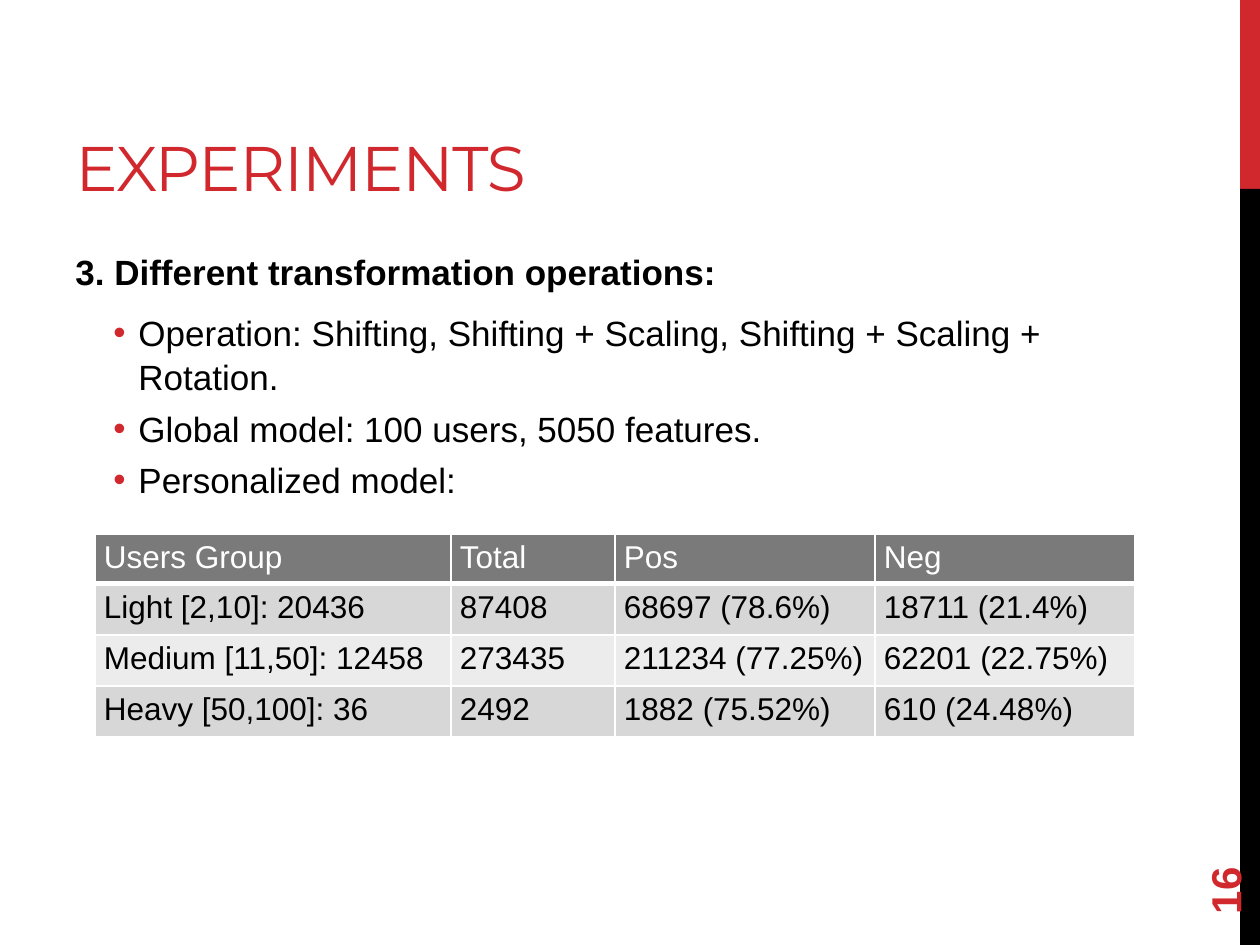
from lxml import etree
from pptx import Presentation
from pptx import util as u
from pptx.dml.color import RGBColor
from pptx.enum import shapes, text
from pptx.oxml import ns

COLORS = {"red": "D1282E", "black": "000000", "white": "FFFFFF",
          "header": "7A7A7A", "odd": "D7D7D7", "even": "ECECEC"}
OPERATIONS = [
    "Operation: Shifting, Shifting + Scaling, Shifting + Scaling + Rotation.",
    "Global model: 100 users, 5050 features.",
    "Personalized model:",
]
USER_GROUPS = [
    ["Users Group", "Total", "Pos", "Neg"],
    ["Light [2,10]: 20436", "87408", "68697 (78.6%)", "18711 (21.4%)"],
    ["Medium [11,50]: 12458", "273435", "211234 (77.25%)", "62201 (22.75%)"],
    ["Heavy [50,100]: 36", "2492", "1882 (75.52%)", "610 (24.48%)"],
]
COLUMN_WIDTHS = [356, 164, 260, 260]
ROW_HEIGHTS = [47, 51, 51, 51]


def px(length):
    """Turn pixels into EMU."""
    return u.Emu(round(length * 914400 / 126))


def rgb(name):
    """Look up a named colour."""
    return RGBColor.from_string(COLORS[name])


def write(paragraph, wording, size=20, color="black", font="Arial", bold=False,
          before=0, after=0, line=1.0, spacing=0):
    """Put formatted text into a paragraph."""
    paragraph.alignment = text.PP_ALIGN.LEFT
    paragraph.space_before, paragraph.space_after = u.Pt(before), u.Pt(after)
    paragraph.line_spacing = line
    run = paragraph.add_run()
    run.text = wording
    run.font.name, run.font.size, run.font.bold = font, u.Pt(size), bold
    run.font.color.rgb = rgb(color)
    if spacing:
        run.font._element.set("spc", str(spacing))


def add_bullet(paragraph):
    """Give a paragraph a hanging red bullet."""
    properties = paragraph._p.get_or_add_pPr()
    properties.set("marL", str(px(63)))
    properties.set("indent", str(-px(25)))
    color = etree.SubElement(properties, ns.qn("a:buClr"))
    etree.SubElement(color, ns.qn("a:srgbClr"), val=COLORS["red"])
    etree.SubElement(properties, ns.qn("a:buFont"), typeface="Arial")
    etree.SubElement(properties, ns.qn("a:buChar"), char="•")


def add_band(slide, top, height, color):
    """Draw one part of the right-hand stripe."""
    band = slide.shapes.add_shape(shapes.MSO_SHAPE.RECTANGLE,
                                  px(1240), px(top), px(20), px(height))
    band.shadow.inherit = False
    band.fill.solid()
    band.fill.fore_color.rgb = rgb(color)
    band.line.fill.background()


def add_title(slide, wording):
    """Place and format the title placeholder."""
    title = slide.shapes.title
    title.left, title.top, title.width, title.height = map(px, (63, 21, 979, 189))
    frame = title.text_frame
    frame.auto_size = text.MSO_AUTO_SIZE.NONE
    frame.vertical_anchor = text.MSO_ANCHOR.BOTTOM
    write(frame.paragraphs[0], wording, size=36, color="red",
          font="Montserrat", spacing=-60)


def add_body(slide, heading, points):
    """Write the heading and its bulleted points."""
    frame = slide.shapes.add_textbox(*map(px, (63, 242, 1050, 602))).text_frame
    frame.word_wrap = True
    write(frame.paragraphs[0], heading, bold=True, after=6, line=1.05)
    for point in points:
        paragraph = frame.add_paragraph()
        add_bullet(paragraph)
        write(paragraph, point, before=4, line=1.05)


def set_borders(cell, bottom):
    """Draw white cell borders, with a chosen bottom width."""
    properties = cell._tc.get_or_add_tcPr()
    widths = {"lnL": 1, "lnR": 1, "lnT": 1, "lnB": bottom}
    for position, (side, width) in enumerate(widths.items()):
        border = etree.Element(ns.qn(f"a:{side}"), w=str(u.Pt(width)))
        fill = etree.SubElement(border, ns.qn("a:solidFill"))
        etree.SubElement(fill, ns.qn("a:srgbClr"), val=COLORS["white"])
        properties.insert(position, border)


def add_group_table(slide, rows):
    """Add the table of user groups."""
    table = slide.shapes.add_table(
        len(rows), len(COLUMN_WIDTHS), px(95), px(534),
        px(sum(COLUMN_WIDTHS)), px(sum(ROW_HEIGHTS))).table
    for column, width in zip(table.columns, COLUMN_WIDTHS):
        column.width = px(width)
    for row, height in zip(table.rows, ROW_HEIGHTS):
        row.height = px(height)
    for r, values in enumerate(rows):
        fill = "header" if r == 0 else "odd" if r % 2 else "even"
        for c, value in enumerate(values):
            cell = table.cell(r, c)
            cell.margin_left = cell.margin_right = px(9)
            cell.margin_top = cell.margin_bottom = px(6)
            cell.fill.solid()
            cell.fill.fore_color.rgb = rgb(fill)
            set_borders(cell, bottom=1 if r else 3)
            write(cell.text_frame.paragraphs[0], value, size=18,
                  color="black" if r else "white")


def add_page_number(slide, number):
    """Write the page number upwards beside the stripe."""
    box = slide.shapes.add_textbox(*map(px, (1134, 811, 181, 50)))
    box.rotation = 270
    box.text_frame.word_wrap = True
    box.text_frame.vertical_anchor = text.MSO_ANCHOR.MIDDLE
    write(box.text_frame.paragraphs[0], number, size=24, color="red", bold=True)


def main():
    """Build and save the slide."""
    deck = Presentation()
    deck.slide_width, deck.slide_height = px(1260), px(945)
    slide = deck.slides.add_slide(deck.slide_layouts.get_by_name("Title Only"))
    add_band(slide, 0, 189, "red")
    add_band(slide, 189, 756, "black")
    add_title(slide, "EXPERIMENTS")
    add_body(slide, "3. Different transformation operations:", OPERATIONS)
    add_group_table(slide, USER_GROUPS)
    add_page_number(slide, "16")
    deck.save("out.pptx")


if __name__ == "__main__":
    main()
